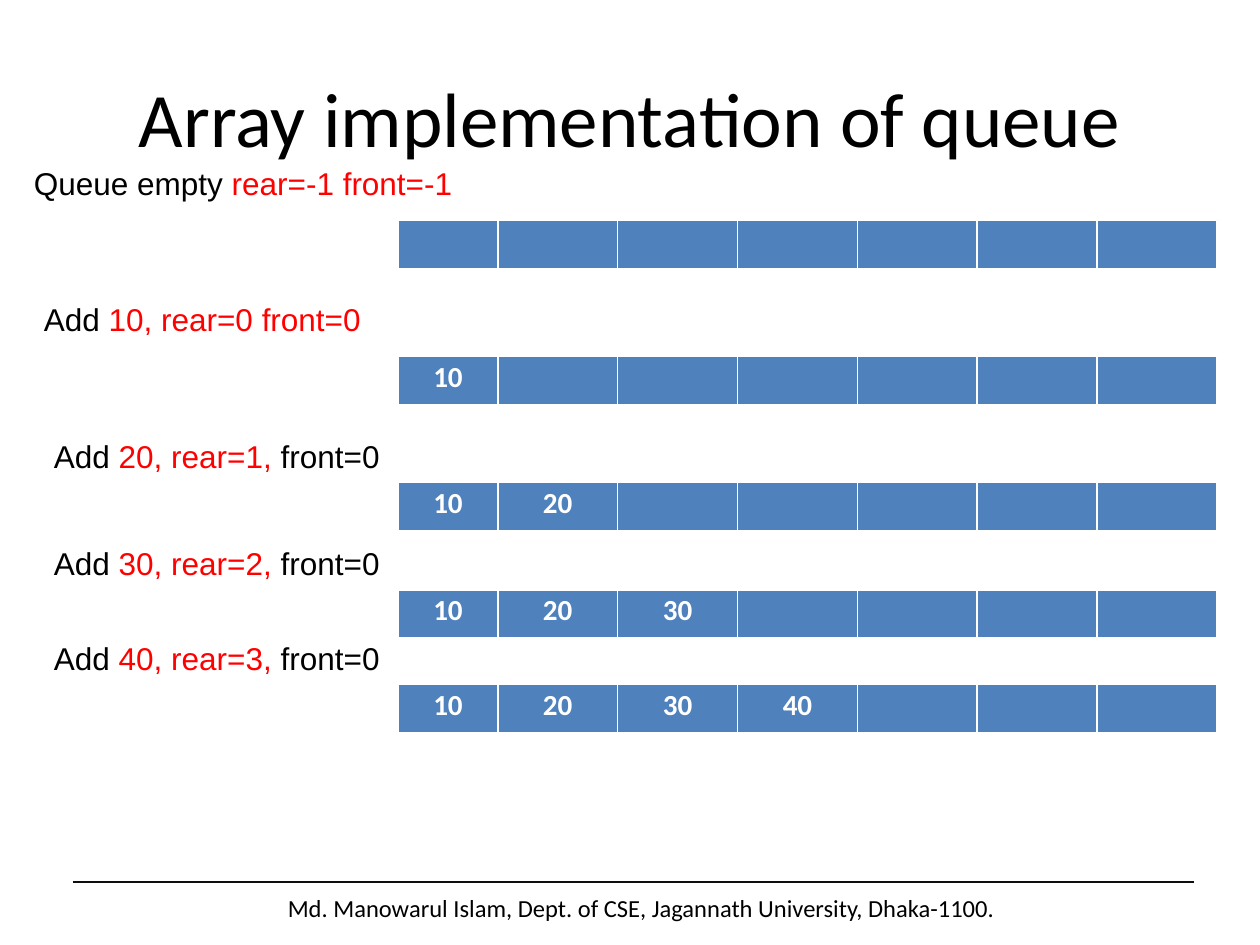
from pptx import Presentation
from pptx import util as u
from pptx.dml.color import RGBColor
from pptx.enum import shapes, text
from pptx.oxml.ns import qn
from lxml import etree

BLACK = RGBColor(0x00, 0x00, 0x00)
RED = RGBColor(0xFF, 0x00, 0x00)
WHITE = RGBColor(0xFF, 0xFF, 0xFF)
BLUE = RGBColor(0x4F, 0x81, 0xBD)
RULE = RGBColor(0x0D, 0x0D, 0x0D)

CELLS = 7
FIRST_WIDTH = 0.79
ROW_LEFT, ROW_WIDTH, ROW_HEIGHT = 3.16, 6.5, 0.4

STEPS = [
    ((0.17, 1.25, 4.25), [("Queue empty ", BLACK), ("rear=-1 front=-1", RED)], 1.75, []),
    ((0.25, 2.33, 7), [("Add", BLACK), (" 10, rear=0 front=0", RED)], 2.83, ["10"]),
    ((0.33, 3.42, 6.67), [("Add", BLACK), (" 20, rear=1,", RED), (" front=0", BLACK)],
     3.83, ["10", "20"]),
    ((0.33, 4.27, 6.67), [("Add", BLACK), (" 30, rear=2, ", RED), ("front=0", BLACK)],
     4.68, ["10", "20", "30"]),
    ((0.33, 5.02, 6.67), [("Add", BLACK), (" 40, rear=3, ", RED), ("front=0", BLACK)],
     5.43, ["10", "20", "30", "40"]),
]


def add_run(p, words, font, size, color, bold=False):
    """Append one formatted run to a paragraph."""
    r = p.add_run()
    r.text = words
    r.font.name, r.font.size, r.font.bold = font, u.Pt(size), bold
    r.font.color.rgb = color


def add_line(parent, x1, y1, x2, y2, color, width):
    """Draw a straight line without a shadow."""
    ln = parent.add_connector(shapes.MSO_CONNECTOR.STRAIGHT, u.Inches(x1), u.Inches(y1),
                              u.Inches(x2), u.Inches(y2))
    ln.line.color.rgb = color
    ln.line.width = u.Pt(width)
    etree.SubElement(ln._element.spPr, qn("a:effectLst"))


def add_title(s, words, left, top, width, height):
    """Fill and place the title placeholder."""
    sp = s.shapes.title
    sp.left, sp.top = u.Inches(left), u.Inches(top)
    sp.width, sp.height = u.Inches(width), u.Inches(height)
    tf = sp.text_frame
    tf.vertical_anchor = text.MSO_ANCHOR.MIDDLE
    p = tf.paragraphs[0]
    p.alignment = text.PP_ALIGN.CENTER
    add_run(p, words, "Calibri", 44, BLACK)


def add_label(s, runs, left, top, width, height=0.4, font="Arial", size=18,
              align=text.PP_ALIGN.LEFT):
    """Place a one-line text box made of coloured runs."""
    sp = s.shapes.add_textbox(u.Inches(left), u.Inches(top), u.Inches(width), u.Inches(height))
    tf = sp.text_frame
    tf.word_wrap = True
    p = tf.paragraphs[0]
    p.alignment = align
    for words, color in runs:
        add_run(p, words, font, size, color)


def add_cell(parent, left, top, width, height, value):
    """Draw one array cell with its value, if any."""
    sp = parent.add_shape(shapes.MSO_SHAPE.RECTANGLE, u.Inches(left), u.Inches(top),
                          u.Inches(width), u.Inches(height))
    sp.shadow.inherit = False
    sp.fill.solid()
    sp.fill.fore_color.rgb = BLUE
    sp.line.fill.background()
    if value:
        tf = sp.text_frame
        tf.vertical_anchor = text.MSO_ANCHOR.TOP
        p = tf.paragraphs[0]
        p.alignment = text.PP_ALIGN.CENTER
        p.line_spacing = 0.9
        add_run(p, value, "Calibri", 16.6, WHITE, bold=True)


def add_array(s, values, left, top, width, height):
    """Draw the queue's array as a group of cells with white borders."""
    parent = s.shapes.add_group_shape().shapes
    step = (width - FIRST_WIDTH) / (CELLS - 1)
    right, bottom = left + width, top + height
    edges = [left] + [left + FIRST_WIDTH + i * step for i in range(CELLS)]
    padded = values + [""] * (CELLS - len(values))
    for x, end, value in zip(edges, edges[1:], padded):
        add_cell(parent, x, top, end - x, height, value)
    for x in edges:
        add_line(parent, x, top, x, bottom, WHITE, 1)
    add_line(parent, left, top, right, top, WHITE, 1)
    add_line(parent, left, bottom, right, bottom, WHITE, 3)


def add_footer(s, words, left, top, width, height):
    """Draw the footer rule and the centred credit below it."""
    add_label(s, [(words, BLACK)], left, top, width, height, "Calibri", 14,
              text.PP_ALIGN.CENTER)
    add_line(s.shapes, left + 0.2, top - 0.04, left + width - 0.32, top - 0.04, RULE, 1)


def main():
    """Build and save the slide."""
    prs = Presentation()
    prs.slide_width, prs.slide_height = u.Inches(10), u.Inches(7.5)
    s = prs.slides.add_slide(prs.slide_layouts[5])
    add_footer(s, "Md. Manowarul Islam, Dept. of CSE, Jagannath University, Dhaka-1100.",
               0.38, 7.04, 9.42, 0.34)
    add_title(s, "Array implementation of queue", 0.5, 0.3, 9, 1.25)
    for box, runs, top, values in STEPS:
        add_label(s, runs, *box)
        add_array(s, values, ROW_LEFT, top, ROW_WIDTH, ROW_HEIGHT)
    prs.save("out.pptx")


if __name__ == "__main__":
    main()
